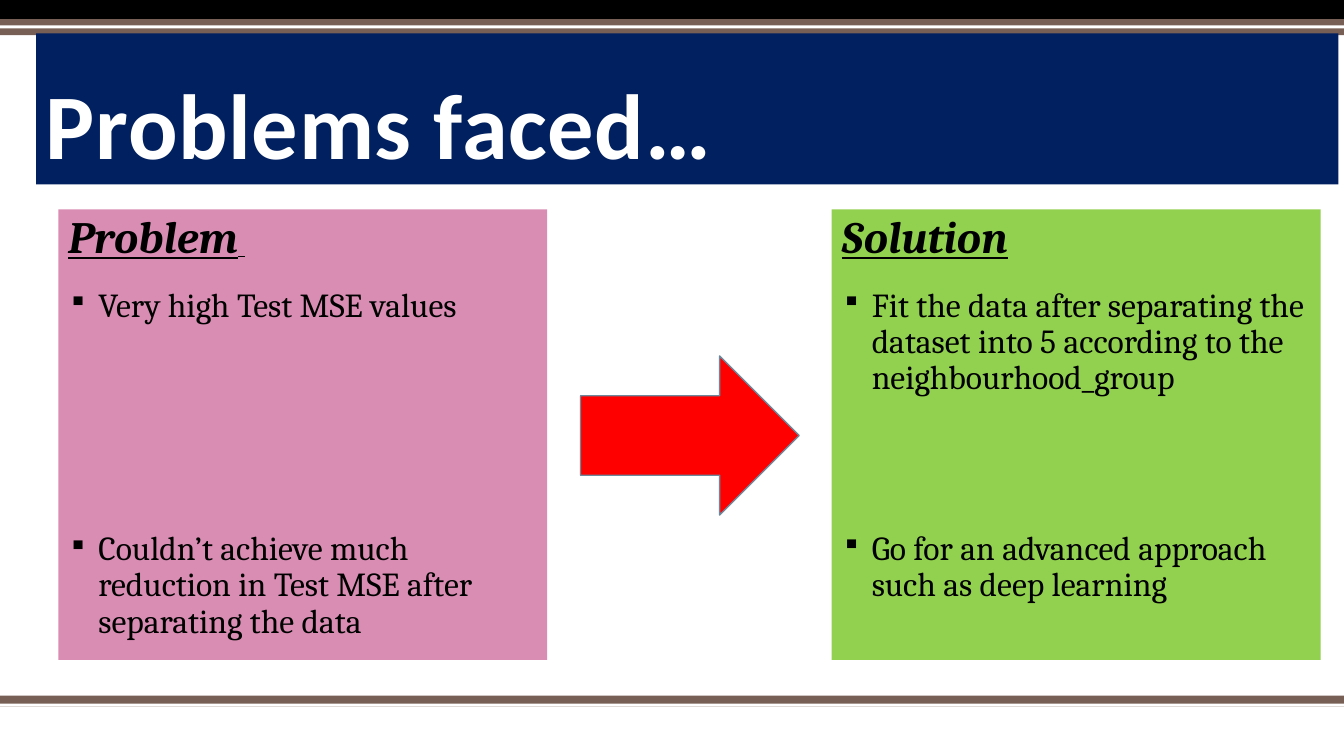
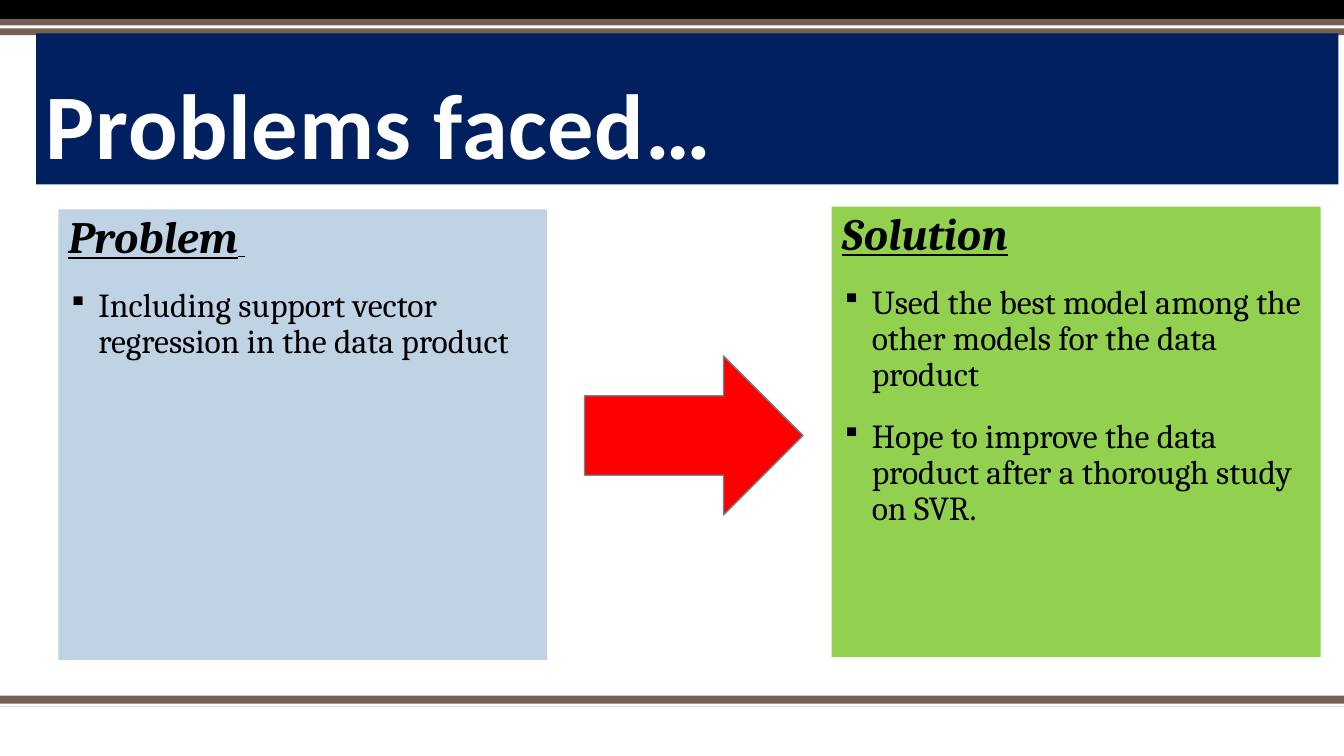
from dataclasses import dataclass

from lxml.etree import SubElement
from pptx import Presentation
from pptx.dml.color import RGBColor
from pptx.enum.shapes import MSO_SHAPE
from pptx.enum.text import MSO_ANCHOR, PP_ALIGN
from pptx.oxml.ns import qn
from pptx.util import Cm, Pt


@dataclass(frozen=True)
class Theme:
    """Colours, fonts and type sizes."""
    black: str = "000000"
    white: str = "FFFFFF"
    brown: str = "775F55"
    navy: str = "002060"
    pink: str = "D98DB3"
    blue: str = "BFD3E4"
    green: str = "92D050"
    red: str = "FF0000"
    edge: str = "6D879B"
    sans: str = "Calibri"
    serif: str = "Cambria"
    title: int = 66
    head: int = 32
    body: int = 24
    gap: int = 18
    line: float = 0.9
    bullet: int = 80


class Deck:
    """Holds the style and the current slide."""

    def __init__(self, theme):
        """Open a wide deck."""
        self.theme = theme
        self.deck = Presentation()
        self.deck.slide_width = Cm(33.87)
        self.deck.slide_height = Cm(19.05)
        self.slide = None

    def shape(self, kind, place, fill, edge=None):
        """Draw a filled shape."""
        left, top, width, height = map(Cm, place)
        shape = self.slide.shapes.add_shape(kind, left, top, width, height)
        shape.shadow.inherit = False
        shape.fill.solid()
        shape.fill.fore_color.rgb = RGBColor.from_string(fill)
        if edge:
            shape.line.color.rgb = RGBColor.from_string(edge)
            shape.line.width = Pt(1)
        else:
            shape.line.fill.background()
        return shape

    def band(self, top, height, fill):
        """Draw a band across the slide."""
        self.shape(MSO_SHAPE.RECTANGLE, (0, top, 33.87, height), fill)

    def style(self, run, name, size, color, bold=False, slant=False, under=False):
        """Format one run."""
        font = run.font
        font.name, font.size = name, Pt(size)
        font.color.rgb = RGBColor.from_string(color)
        font.bold, font.italic, font.underline = bold, slant, under

    def page(self, title):
        """Start a slide with its bands and title."""
        look = self.theme
        self.slide = self.deck.slides.add_slide(self.deck.slide_layouts[6])
        self.band(17.53, 0.28, look.brown)
        self.band(17.73, 0.08, look.white)
        self.band(0, 0.48, look.black)
        self.band(0.48, 0.41, look.brown)
        self.band(0.64, 0.08, look.white)
        box = self.shape(MSO_SHAPE.RECTANGLE, (0.91, 0.84, 32.82, 3.81), look.navy)
        frame = box.text_frame
        frame.text = title
        frame.word_wrap = True
        frame.vertical_anchor = MSO_ANCHOR.BOTTOM
        line = frame.paragraphs[0]
        line.alignment = PP_ALIGN.LEFT
        line.line_spacing = look.line
        run = line.runs[0]
        self.style(run, look.sans, look.title, look.white, bold=True)
        run.font._element.set("spc", "50")

    def bullet(self, line):
        """Give a paragraph a square bullet."""
        props = line._p.get_or_add_pPr()
        props.set("marL", str(Cm(0.76)))
        props.set("indent", str(-Cm(0.76)))
        color = SubElement(props, qn("a:buClr"))
        SubElement(color, qn("a:srgbClr"), val=self.theme.black)
        SubElement(props, qn("a:buSzPct"), val=str(self.theme.bullet * 1000))
        SubElement(props, qn("a:buChar"), char="▪")

    def panel(self, left, top, fill, head, points, tail=""):
        """Draw a panel with a heading and (text, extra lines above) points."""
        look = self.theme
        box = self.shape(MSO_SHAPE.RECTANGLE, (left, top, 12.32, 11.35), fill)
        frame = box.text_frame
        frame.word_wrap = True
        frame.vertical_anchor = MSO_ANCHOR.TOP
        frame.text = head
        first = frame.paragraphs[0]
        self.style(first.runs[0], look.serif, look.head, look.black, True, True, True)
        if tail:
            run = first.add_run()
            run.text = tail
            self.style(run, look.serif, look.body, look.black, under=True)
        for text, extra in points:
            line = frame.add_paragraph()
            line.text = text
            self.bullet(line)
            line.space_before = Pt(look.gap + 26 * extra)
            self.style(line.runs[0], look.serif, look.body, look.black)
        for line in frame.paragraphs:
            line.alignment = PP_ALIGN.LEFT
            line.line_spacing = look.line

    def arrow(self, left):
        """Draw the arrow between the panels."""
        place = (left, 8.97, 5.51, 4.01)
        self.shape(MSO_SHAPE.RIGHT_ARROW, place, self.theme.red, self.theme.edge)

    def issue(self, fill, trouble, answer, top, start):
        """Build a slide that sets problems beside solutions."""
        self.page("Problems faced…")
        self.panel(1.47, 5.28, fill, "Problem", trouble, " ")
        self.panel(20.96, top, self.theme.green, "Solution", answer)
        self.arrow(start)


def main():
    """Build and save the deck."""
    look = Theme()
    deck = Deck(look)
    deck.issue(
        look.pink,
        [("Very high Test MSE values", 0),
         ("Couldn’t achieve much reduction in Test MSE after separating the data", 5)],
        [("Fit the data after separating the dataset into 5 according to the "
          "neighbourhood_group", 0),
         ("Go for an advanced approach such as deep learning", 3)],
        top=5.28, start=14.63)
    deck.issue(
        look.blue,
        [("Including support vector regression in the data product", 0)],
        [("Used the best model among the other models for the data product", 0),
         ("Hope to improve the data product after a thorough study on SVR.", 0)],
        top=5.21, start=14.73)
    deck.deck.save("out.pptx")


if __name__ == "__main__":
    main()
